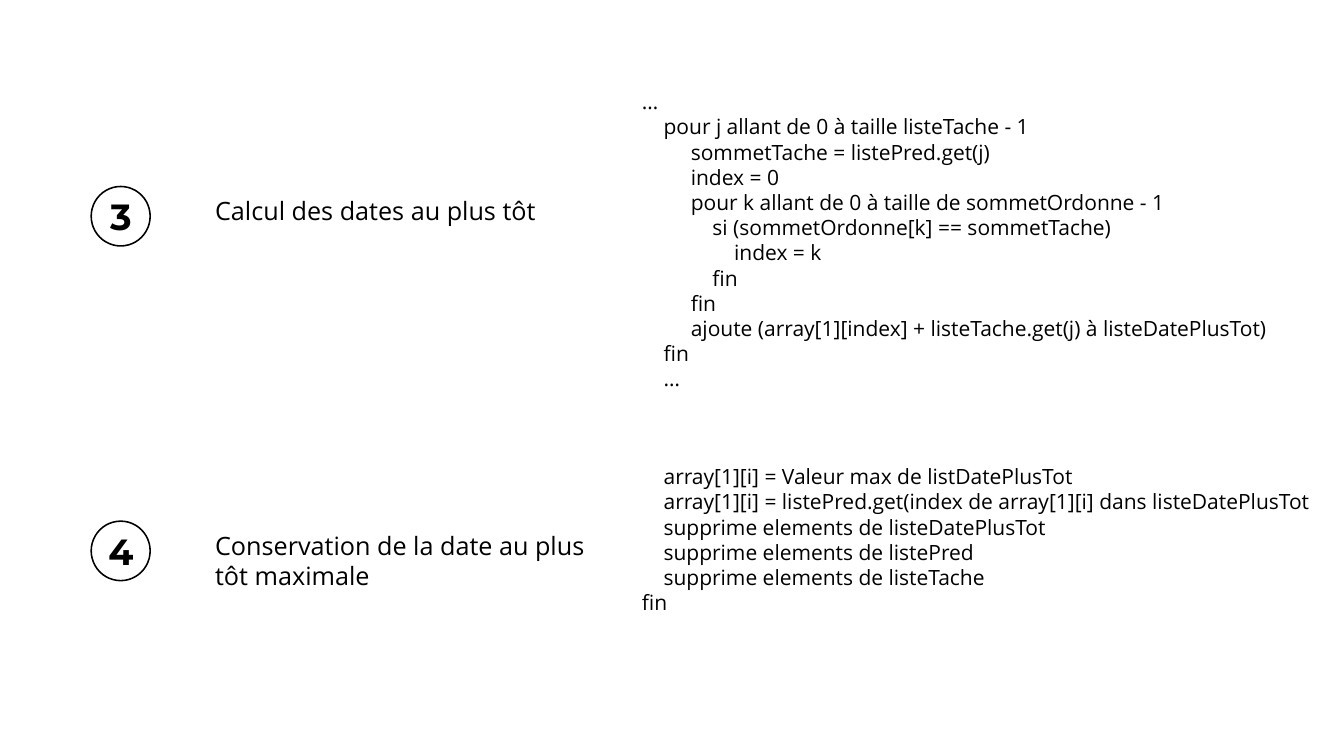
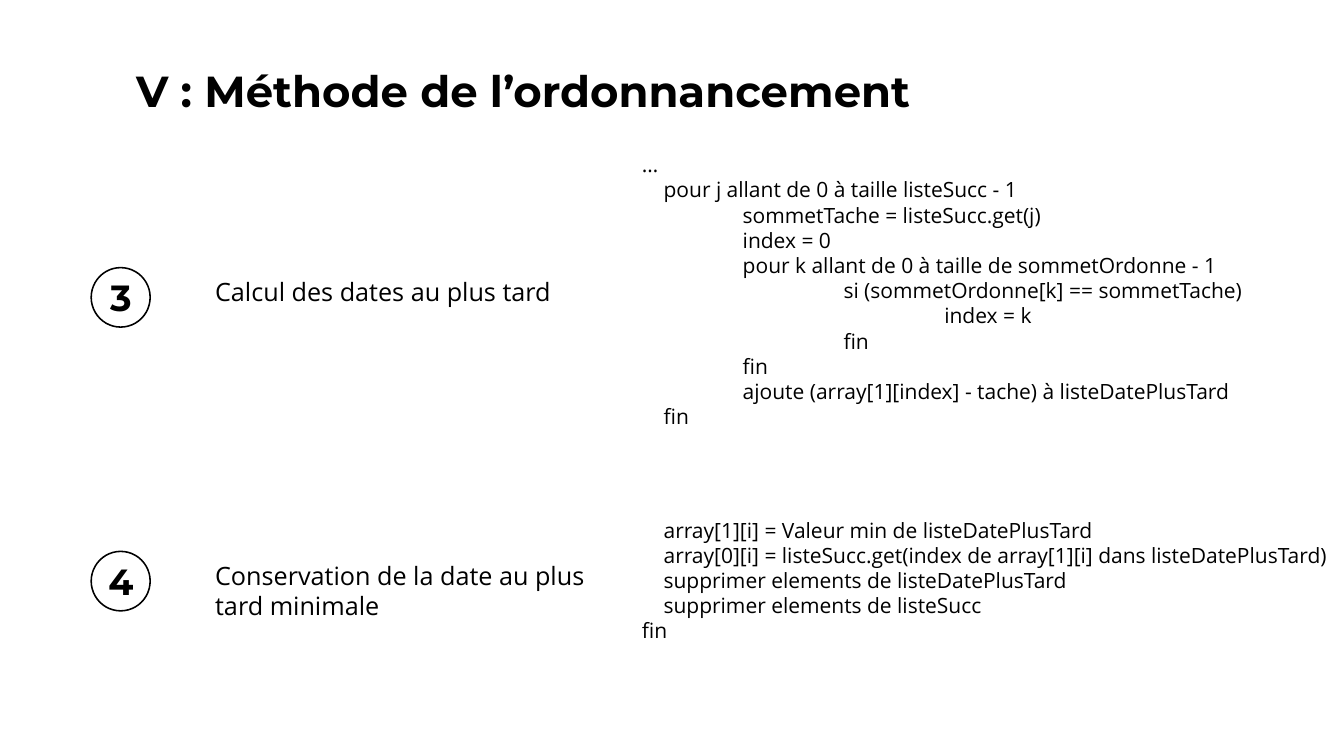
from dataclasses import dataclass

from pptx import Presentation
from pptx.dml.color import RGBColor
from pptx.enum.shapes import MSO_SHAPE
from pptx.enum.text import MSO_ANCHOR, PP_ALIGN
from pptx.slide import Slide
from pptx.text.text import TextFrame, _Paragraph
from pptx.util import Inches, Pt

OVAL = MSO_SHAPE.OVAL
TOP = MSO_ANCHOR.TOP
LEFT, CENTER = PP_ALIGN.LEFT, PP_ALIGN.CENTER
BLACK = RGBColor(0x00, 0x00, 0x00)
WHITE = RGBColor(0xFF, 0xFF, 0xFF)
HEAD_FONT, BODY_FONT = "Montserrat", "Open Sans"
TITLE_ONLY, BLANK = 5, 6


@dataclass(frozen=True)
class Style:
    """Look of a run of text."""
    font: str
    size: int
    bold: bool = False


TITLE = Style(HEAD_FONT, 62, True)
NUMBER = Style(HEAD_FONT, 52, True)
LABEL = Style(BODY_FONT, 36)
CODE = Style(BODY_FONT, 30)


@dataclass(frozen=True)
class Step:
    """Numbered step; each code line is a pair of nesting level and text."""
    number: int
    label: str
    circle_top: float
    code_top: float
    code_width: float
    code: tuple[tuple[int, str], ...]


@dataclass(frozen=True)
class Page:
    """Slide content with the code indent, in inches, of each nesting level."""
    title: str
    indents: tuple[float, ...]
    steps: tuple[Step, ...]


PAGES = (
    Page("", (0, 0.43, 0.97, 1.4, 1.83), (
        Step(3, "Calcul des dates au plus tôt", 3.7, 1.71, 14.39, (
            (0, "…"),
            (1, "pour j allant de 0 à taille listeTache - 1"),
            (2, "sommetTache = listePred.get(j)"),
            (2, "index = 0"),
            (2, "pour k allant de 0 à taille de sommetOrdonne - 1"),
            (3, "si (sommetOrdonne[k] == sommetTache)"),
            (4, "index = k"),
            (3, "fin"),
            (2, "fin"),
            (2, "ajoute (array[1][index] + listeTache.get(j) à listeDatePlusTot)"),
            (1, "fin"),
            (1, "…"),
        )),
        Step(4, "Conservation de la date au plus tôt maximale", 10.34, 9.15, 15.9, (
            (1, "array[1][i] = Valeur max de listDatePlusTot"),
            (1, "array[1][i] = listePred.get(index de array[1][i] dans listeDatePlusTot"),
            (1, "supprime elements de listeDatePlusTot"),
            (1, "supprime elements de listePred"),
            (1, "supprime elements de listeTache"),
            (0, "fin"),
        )),
    )),
    Page("V : Méthode de l’ordonnancement", (0, 0.43, 2, 4, 6), (
        Step(3, "Calcul des dates au plus tard", 5.31, 2.96, 14.39, (
            (0, "…"),
            (1, "pour j allant de 0 à taille listeSucc - 1"),
            (2, "sommetTache = listeSucc.get(j)"),
            (2, "index = 0"),
            (2, "pour k allant de 0 à taille de sommetOrdonne - 1"),
            (3, "si (sommetOrdonne[k] == sommetTache)"),
            (4, "index = k"),
            (3, "fin"),
            (2, "fin"),
            (2, "ajoute (array[1][index] - tache) à listeDatePlusTard"),
            (1, "fin"),
        )),
        Step(4, "Conservation de la date au plus tard minimale", 10.94, 10.21, 15.9, (
            (1, "array[1][i] = Valeur min de listeDatePlusTard"),
            (1, "array[0][i] = listeSucc.get(index de array[1][i] dans listeDatePlusTard)"),
            (1, "supprimer elements de listeDatePlusTard"),
            (1, "supprimer elements de listeSucc"),
            (0, "fin"),
        )),
    )),
)


def add_run(p: _Paragraph, text: str, style: Style) -> None:
    """Append one styled run to a paragraph."""
    r = p.add_run()
    r.text = text
    r.font.name = style.font
    r.font.size = Pt(style.size)
    r.font.bold = style.bold
    r.font.color.rgb = BLACK


def add_box(s: Slide, x: float, y: float, w: float, h: float) -> TextFrame:
    """Add a wrapping text box and return its frame."""
    tf = s.shapes.add_textbox(Inches(x), Inches(y), Inches(w), Inches(h)).text_frame
    tf.word_wrap = True
    return tf


def add_title(s: Slide, text: str) -> None:
    """Place and fill the title placeholder."""
    sp = s.shapes.title
    sp.left, sp.top = Inches(2.6), Inches(1.22)
    sp.width, sp.height = Inches(19.55), Inches(1.14)
    tf = sp.text_frame
    tf.vertical_anchor = TOP
    p = tf.paragraphs[0]
    p.alignment = LEFT
    add_run(p, text, TITLE)


def add_code(s: Slide, step: Step, indents: tuple[float, ...]) -> None:
    """Write the pseudocode of a step, one paragraph a line."""
    height = 0.5 * len(step.code) + 0.13
    tf = add_box(s, 12.64, step.code_top, step.code_width, height)
    for i, (level, text) in enumerate(step.code):
        p = tf.add_paragraph() if i else tf.paragraphs[0]
        pPr = p._p.get_or_add_pPr()
        pPr.set("marL", str(Inches(indents[level])))
        pPr.set("indent", "0")
        add_run(p, text, CODE)


def add_step(s: Slide, step: Step, indents: tuple[float, ...]) -> None:
    """Draw the circled number, the label and the code of a step."""
    top = step.circle_top
    sp = s.shapes.add_shape(OVAL, Inches(1.81), Inches(top), Inches(1.17), Inches(1.18))
    sp.shadow.inherit = False
    sp.fill.background()
    sp.line.color.rgb = BLACK
    sp.line.width = Pt(2.25)

    label_height = 1.31 if len(step.label) > 30 else 0.71
    tf = add_box(s, 4.17, top + 0.13, 8.15, label_height)
    add_run(tf.paragraphs[0], step.label, LABEL)

    p = add_box(s, 1.98, top + 0.1, 0.84, 0.98).paragraphs[0]
    p.alignment = CENTER
    add_run(p, str(step.number), NUMBER)
    add_code(s, step, indents)


def main() -> None:
    """Build and save the presentation."""
    prs = Presentation()
    prs.slide_width, prs.slide_height = Inches(26.67), Inches(15)
    for page in PAGES:
        s = prs.slides.add_slide(prs.slide_layouts[TITLE_ONLY if page.title else BLANK])
        s.background.fill.solid()
        s.background.fill.fore_color.rgb = WHITE
        if page.title:
            add_title(s, page.title)
        for step in page.steps:
            add_step(s, step, page.indents)
    prs.save("out.pptx")


if __name__ == "__main__":
    main()
